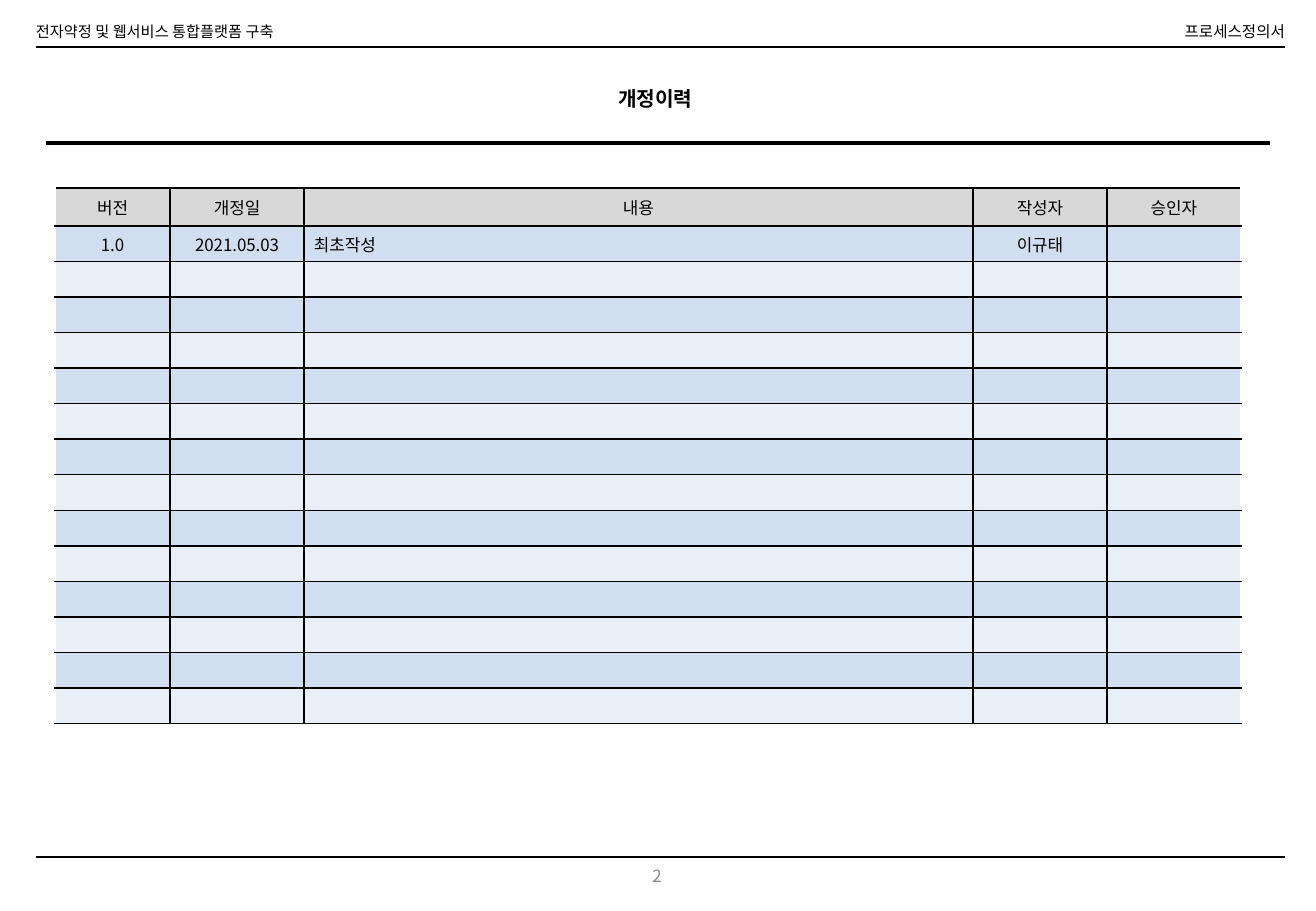
"""Build the revision history page of a process definition document."""
from dataclasses import dataclass

from lxml import etree
from pptx import Presentation
from pptx import util as u
from pptx.dml.color import RGBColor
from pptx.enum import shapes, text
from pptx.oxml import ns

PX = 7526


@dataclass(frozen=True)
class Theme:
    font: str = "Noto Sans CJK KR"
    ink: str = "000000"
    paper: str = "FFFFFF"
    muted: str = "898989"
    head_fill: str = "D8D8D8"
    bands: tuple = ("D0DEEF", "E9EFF7")
    small: float = 9
    label: float = 9.2
    body: float = 10
    title: float = 12
    thin: float = 1
    thick: float = 2.25


class Page:
    def __init__(self, deck, theme):
        self.theme = theme
        self.slide = deck.slides.add_slide(deck.slide_layouts[5])

    def rule(self, left, right, y, weight):
        line = self.slide.shapes.add_connector(
            shapes.MSO_CONNECTOR.STRAIGHT, left * PX, y * PX, right * PX, y * PX)
        line.line.color.rgb = RGBColor.from_string(self.theme.ink)
        line.line.width = u.Pt(weight)
        etree.SubElement(line._element.spPr, ns.qn("a:effectLst"))

    def add_words(self, para, words, size, align, color=None, bold=False):
        para.alignment = align
        span = para.add_run()
        span.text = words
        span.font.name = self.theme.font
        span.font.size = u.Pt(size)
        span.font.bold = bold
        span.font.color.rgb = RGBColor.from_string(color or self.theme.ink)
        east = etree.SubElement(span.font._element, ns.qn("a:ea"))
        east.set("typeface", self.theme.font)

    def place(self, box, words, at, size, align, anchor, margins=(12, 6), **style):
        box.left, box.top, box.width, box.height = (n * PX for n in at)
        frame = box.text_frame
        frame.word_wrap = True
        frame.vertical_anchor = anchor
        frame.margin_left = frame.margin_right = margins[0] * PX
        frame.margin_top = frame.margin_bottom = margins[1] * PX
        self.add_words(frame.paragraphs[0], words, size, align, **style)
        return frame

    def label(self, words, at, size, align, anchor, **style):
        box = self.slide.shapes.add_textbox(0, 0, 0, 0)
        return self.place(box, words, at, size, align, anchor, **style)

    def title(self, words, at):
        frame = self.place(self.slide.shapes.title, words, at, self.theme.title,
                           text.PP_ALIGN.LEFT, text.MSO_ANCHOR.TOP, (10, 5), bold=True)
        frame.word_wrap = False
        frame.auto_size = text.MSO_AUTO_SIZE.SHAPE_TO_FIT_TEXT

    def border(self, cell, sides):
        props = cell._tc.get_or_add_tcPr()
        for place, (side, color) in enumerate(sides.items()):
            edge = etree.Element(ns.qn(f"a:ln{side}"), w=str(u.Pt(self.theme.thin)))
            fill = etree.SubElement(edge, ns.qn("a:solidFill"))
            etree.SubElement(fill, ns.qn("a:srgbClr"), val=color)
            props.insert(place, edge)

    def cell(self, cell, words, align, fill, sides):
        cell.fill.solid()
        cell.fill.fore_color.rgb = RGBColor.from_string(fill)
        cell.vertical_anchor = text.MSO_ANCHOR.MIDDLE
        cell.margin_left = cell.margin_right = 10 * PX
        cell.margin_top = cell.margin_bottom = 4 * PX
        para = cell.text_frame.paragraphs[0]
        if words:
            self.add_words(para, words, self.theme.body, align)
        else:
            size = str(int(self.theme.body * 100))
            etree.SubElement(para._p, ns.qn("a:endParaRPr"), sz=size)
        self.border(cell, sides)

    def table(self, left, top, widths, head_height, body_height, records, count):
        theme = self.theme
        last = len(widths) - 1
        grid = self.slide.shapes.add_table(
            count + 1, len(widths), left * PX, top * PX,
            sum(widths) * PX, (head_height + body_height) * PX).table
        for column, width in zip(grid.columns, widths):
            column.width = width * PX
        for r, row in enumerate(grid.rows):
            row.height = body_height * PX // count if r else head_height * PX
            record = records[r] if r < len(records) else [""] * len(widths)
            fill = theme.bands[(r - 1) % 2] if r else theme.head_fill
            for c, words in enumerate(record):
                align = text.PP_ALIGN.LEFT if r and c == 2 else text.PP_ALIGN.CENTER
                sides = {"L": theme.ink if c else theme.paper,
                         "R": theme.ink if c < last else theme.paper,
                         "T": theme.ink, "B": theme.ink}
                self.cell(grid.cell(r, c), words, align, fill, sides)


def main():
    theme = Theme()
    deck = Presentation()
    deck.slide_width, deck.slide_height = 1316 * PX, 911 * PX
    page = Page(deck, theme)
    align, anchor = text.PP_ALIGN, text.MSO_ANCHOR

    page.rule(36, 1285, 47, theme.thin)
    page.rule(36, 1285, 857, theme.thin)
    name = page.label("프로세스정의서", (1020, 19, 277, 28), theme.label,
                      align.RIGHT, anchor.MIDDLE)
    name.paragraphs[0].line_spacing = 0.8
    page.label("전자약정 및 웹서비스 통합플랫폼 구축", (24, 15, 426, 33),
               theme.small, align.LEFT, anchor.MIDDLE)
    page.title("개정이력", (608, 81, 101, 34))
    page.rule(46, 1270, 143, theme.thick)
    page.label("2", (595, 860, 124, 35), theme.body,
               align.CENTER, anchor.TOP, color=theme.muted)
    records = [["버전", "개정일", "내용", "작성자", "승인자"],
               ["1.0", "2021.05.03", "최초작성", "이규태", ""]]
    page.table(55, 188, (115, 134, 669, 134, 134), 38, 498, records, 14)
    deck.save("out.pptx")


if __name__ == "__main__":
    main()
